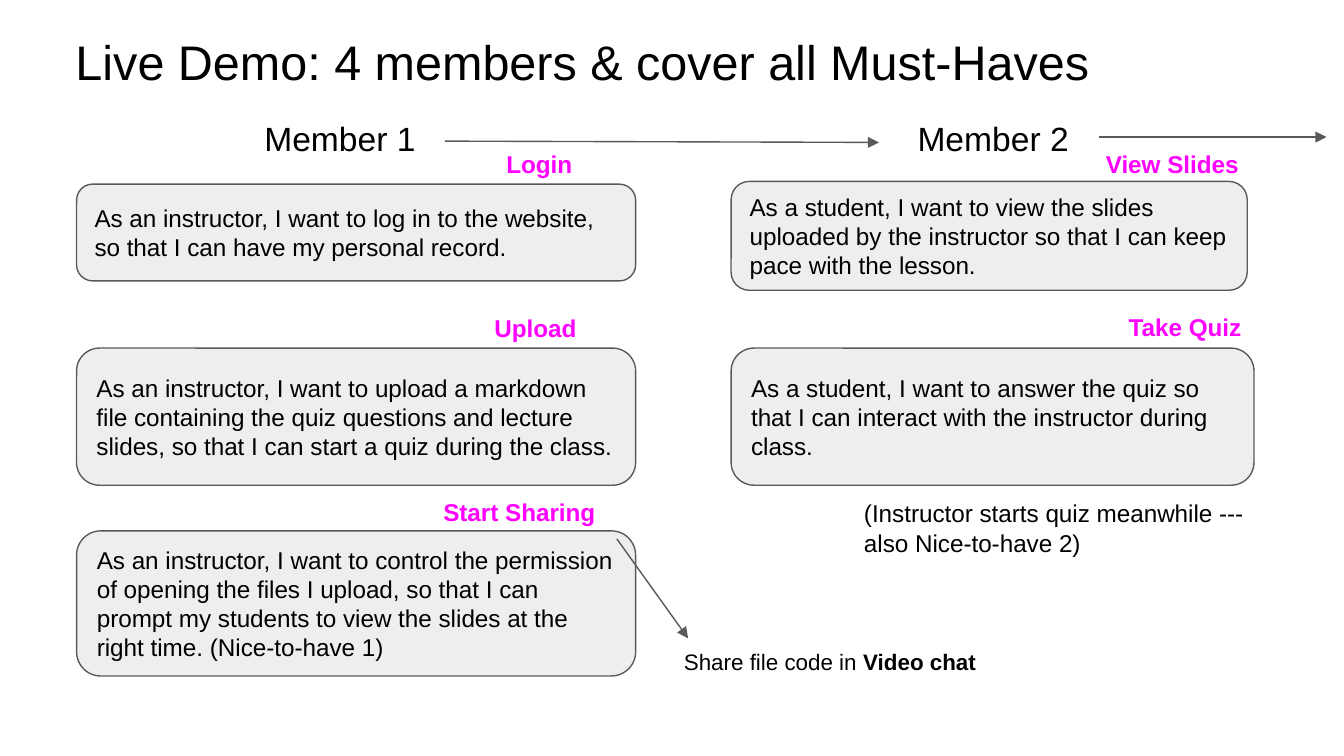
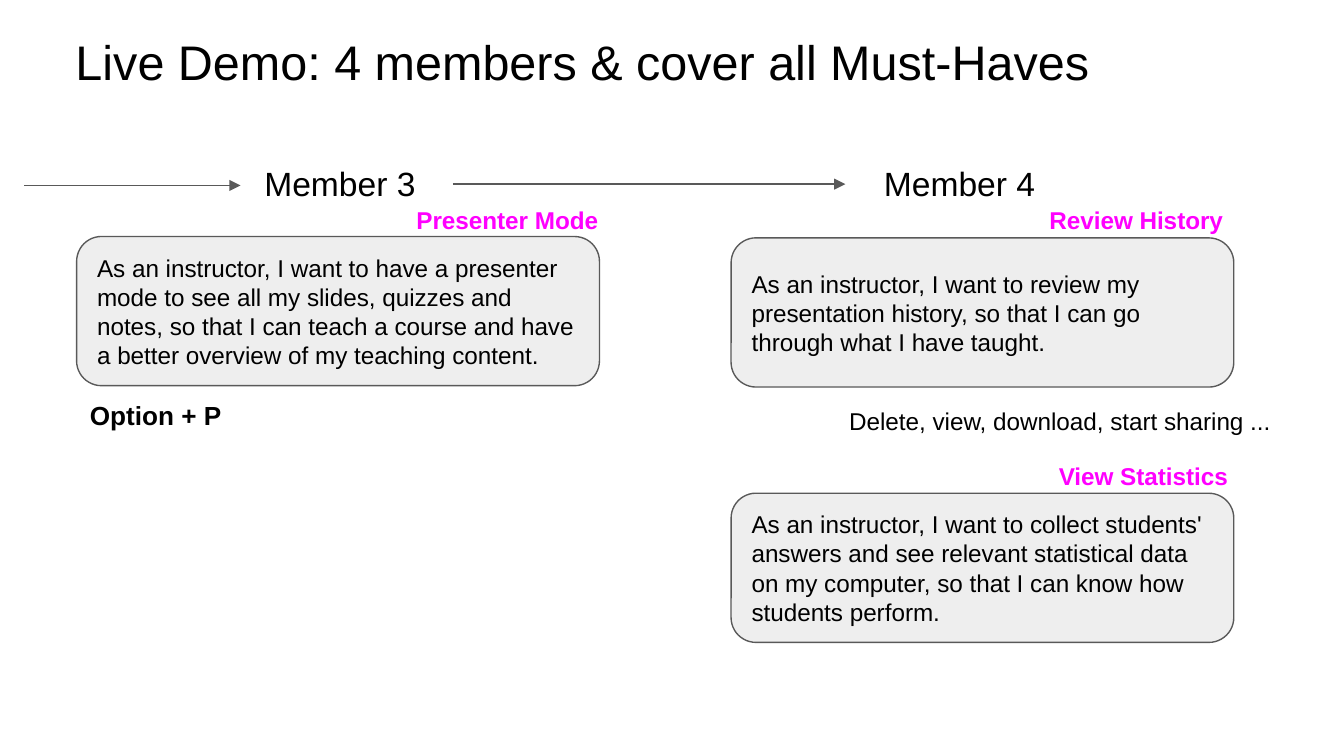
from lxml import etree
from pptx import Presentation
from pptx import util as u
from pptx.dml.color import RGBColor
from pptx.enum import shapes, text
from pptx.oxml import ns

PX = 9144  # EMU in one px, 100 px to the inch
SLIDE_WIDTH = 1000
COLORS = {"ink": "000000", "card": "EEEEEE", "rule": "595959", "tag": "FF00FF"}
FONT = "Arial"
BODY = 13
PAD = 10
TITLE = "Live Demo: 4 members & cover all Must-Haves"
TITLE_BOX = (24, 18, 820, 55)
TAG_HEIGHT = 44
HEADING_SIZE = (260, 44)


def px(*lengths):
    return [u.Emu(length * PX) for length in lengths]


def color(name):
    return RGBColor.from_string(COLORS[name])


def write(shape, *parts, size=BODY, ink="ink", bold=False,
          align=text.PP_ALIGN.LEFT, anchor=text.MSO_ANCHOR.TOP):
    """Fill a shape with one paragraph; a part is text or (text, bold)."""
    frame = shape.text_frame
    frame.auto_size = text.MSO_AUTO_SIZE.NONE
    frame.word_wrap = True
    frame.vertical_anchor = anchor
    (frame.margin_left, frame.margin_top,
     frame.margin_right, frame.margin_bottom) = px(PAD, PAD, PAD, PAD)
    para = frame.paragraphs[0]
    para.alignment = align
    for part in parts:
        words, heavy = (part, bold) if isinstance(part, str) else part
        span = para.add_run()
        span.text = words
        span.font.name = FONT
        span.font.size = u.Pt(size)
        span.font.bold = heavy
        span.font.color.rgb = color(ink)


def add_note(page, box, *parts, **style):
    write(page.shapes.add_textbox(*px(*box)), *parts, **style)


def add_titled_page(deck):
    page = deck.slides.add_slide(deck.slide_layouts[5])
    title = page.shapes.title
    title.left, title.top, title.width, title.height = px(*TITLE_BOX)
    write(title, TITLE, size=26, align=text.PP_ALIGN.CENTER,
          anchor=text.MSO_ANCHOR.MIDDLE)
    return page


def add_member(page, name, left, top):
    add_note(page, (left, top, *HEADING_SIZE), name, size=18,
             align=text.PP_ALIGN.CENTER, anchor=text.MSO_ANCHOR.MIDDLE)


def add_story(page, box, story, tag, tag_place):
    """Rounded card with its tag; tag_place is (indent, rise, width)."""
    left, top, _, _ = box
    card = page.shapes.add_shape(
        shapes.MSO_SHAPE.ROUNDED_RECTANGLE, *px(*box))
    card.shadow.inherit = False
    card.fill.solid()
    card.fill.fore_color.rgb = color("card")
    card.line.color.rgb = color("rule")
    card.line.width = u.Pt(0.75)
    write(card, story, anchor=text.MSO_ANCHOR.MIDDLE)
    indent, rise, width = tag_place
    add_note(page, (left + indent, top - rise, width, TAG_HEIGHT), tag,
             ink="tag", bold=True)


def add_arrow(page, *ends):
    arrow = page.shapes.add_connector(
        shapes.MSO_CONNECTOR.STRAIGHT, *px(*ends))
    arrow.line.color.rgb = color("rule")
    arrow.line.width = u.Pt(0.75)
    etree.SubElement(arrow.line._get_or_add_ln(), ns.qn("a:tailEnd"),
                     type="triangle", w="med", len="med")
    etree.SubElement(arrow._element.spPr, ns.qn("a:effectLst"))


def build_first_half(deck):
    page = add_titled_page(deck)

    # Member 1: instructor prepares the class
    add_member(page, "Member 1", 123, 81)
    add_story(page, (57, 137, 416, 72),
              "As an instructor, I want to log in to the website, "
              "so that I can have my personal record.",
              "Login", (310, 36, 80))
    add_story(page, (57, 259, 416, 102),
              "As an instructor, I want to upload a markdown file containing "
              "the quiz questions and lecture slides, so that I can start "
              "a quiz during the class.",
              "Upload", (301, 36, 91))
    add_story(page, (57, 395, 416, 108),
              "As an instructor, I want to control the permission of opening "
              "the files I upload, so that I can prompt my students to view "
              "the slides at the right time. (Nice-to-have 1)",
              "Start Sharing", (263, 35, 145))

    # Member 2: student follows the class
    add_member(page, "Member 2", 609, 81)
    add_story(page, (544, 135, 384, 81),
              "As a student, I want to view the slides uploaded by the "
              "instructor so that I can keep pace with the lesson.",
              "View Slides", (269, 34, 123))
    add_story(page, (544, 259, 389, 102),
              "As a student, I want to answer the quiz so that I can "
              "interact with the instructor during class.",
              "Take Quiz", (286, 37, 115))

    # Flow and side notes
    add_arrow(page, 331, 105, 654, 106)
    add_arrow(page, 818, 102, 987, 102)
    add_arrow(page, 459, 401, 512, 475)
    add_note(page, (633, 361, 331, 81),
             "(Instructor starts quiz meanwhile --- also Nice-to-have 2)")
    add_note(page, (499, 472, 238, 36),
             "Share file code in ", ("Video chat", True), size=12)


def build_second_half(deck):
    page = add_titled_page(deck)

    # Member 3: instructor presents
    add_member(page, "Member 3", 123, 114)
    add_story(page, (57, 176, 389, 111),
              "As an instructor, I want to have a presenter mode to see all "
              "my slides, quizzes and notes, so that I can teach a course "
              "and have a better overview of my teaching content.",
              "Presenter Mode", (243, 33, 165))
    add_note(page, (57, 287, 136, 45), "Option + P", size=14, bold=True)

    # Member 4: instructor looks back
    add_member(page, "Member 4", 584, 114)
    add_story(page, (544, 177, 374, 111),
              "As an instructor, I want to review my presentation history, "
              "so that I can go through what I have taught.",
              "Review History", (227, 34, 157))
    add_note(page, (622, 292, 350, 45),
             "Delete, view, download, start sharing ...")
    add_story(page, (544, 367, 374, 111),
              "As an instructor, I want to collect students' answers and see "
              "relevant statistical data on my computer, so that I can know "
              "how students perform.",
              "View Statistics", (234, 34, 157))

    # Flow
    add_arrow(page, 18, 138, 179, 138)
    add_arrow(page, 337, 137, 629, 137)


def main():
    deck = Presentation()
    deck.slide_width = u.Emu(SLIDE_WIDTH * PX)
    deck.slide_height = u.Emu(SLIDE_WIDTH * PX * 9 // 16)
    build_first_half(deck)
    build_second_half(deck)
    deck.save("out.pptx")


if __name__ == "__main__":
    main()
